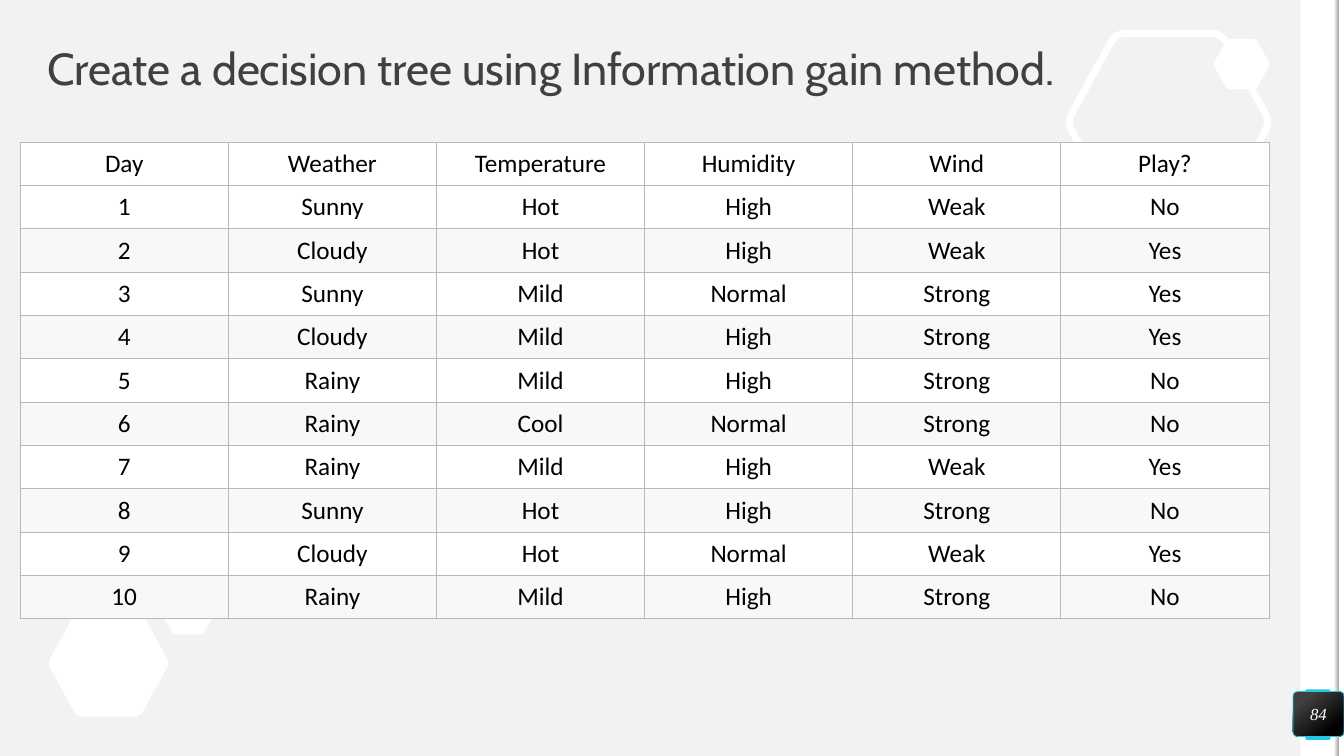
from lxml import etree
from pptx import Presentation
from pptx.dml.color import RGBColor
from pptx.enum.shapes import MSO_SHAPE
from pptx.enum.text import MSO_ANCHOR, PP_ALIGN
from pptx.oxml.ns import qn
from pptx.util import Pt

RECT, ROUND = MSO_SHAPE.RECTANGLE, MSO_SHAPE.ROUNDED_RECTANGLE
MIDDLE = MSO_ANCHOR.MIDDLE
LEFT, CENTER = PP_ALIGN.LEFT, PP_ALIGN.CENTER

WHITE = RGBColor(0xFF, 0xFF, 0xFF)
BLACK = RGBColor(0, 0, 0)
PAPER = RGBColor(0xF2, 0xF2, 0xF2)
BAND = RGBColor(0xF8, 0xF8, 0xF8)
RULE = RGBColor(0xB8, 0xB8, 0xB8)
SHADE = RGBColor(0xA6, 0xA6, 0xA6)
DARK = RGBColor(0x40, 0x40, 0x40)
CYAN = RGBColor(0x25, 0xC6, 0xE3)

WIDE, HIGH = 960, 540
ROWS = [
    ["Day", "Weather", "Temperature", "Humidity", "Wind", "Play?"],
    ["1", "Sunny", "Hot", "High", "Weak", "No"],
    ["2", "Cloudy", "Hot", "High", "Weak", "Yes"],
    ["3", "Sunny", "Mild", "Normal", "Strong", "Yes"],
    ["4", "Cloudy", "Mild", "High", "Strong", "Yes"],
    ["5", "Rainy", "Mild", "High", "Strong", "No"],
    ["6", "Rainy", "Cool", "Normal", "Strong", "No"],
    ["7", "Rainy", "Mild", "High", "Weak", "Yes"],
    ["8", "Sunny", "Hot", "High", "Strong", "No"],
    ["9", "Cloudy", "Hot", "Normal", "Weak", "Yes"],
    ["10", "Rainy", "Mild", "High", "Strong", "No"],
]
HEX = [(0.24, 0), (0, 0.5), (0.24, 1), (0.76, 1), (1, 0.5), (0.76, 0)]


def write(frame, text, font, size, color, align=CENTER, italic=False):
    para = frame.paragraphs[0]
    para.alignment = align
    run = para.add_run()
    run.text = text
    run.font.name = font
    run.font.size = Pt(size)
    run.font.color.rgb = color
    run.font.italic = italic
    return para


def bare(frame):
    frame.margin_left = frame.margin_right = 0
    frame.margin_top = frame.margin_bottom = 0
    frame.vertical_anchor = MIDDLE
    frame.word_wrap = True


def block(slide, kind, box, color, curve=0):
    shape = slide.shapes.add_shape(kind, *map(Pt, box))
    shape.shadow.inherit = False
    shape.line.fill.background()
    shape.fill.solid()
    shape.fill.fore_color.rgb = color
    if kind == ROUND:
        shape.adjustments[0] = curve
    return shape


def blend(shape, angle, *stops):
    shape.fill.gradient()
    shape.fill.gradient_angle = angle
    for stop, (place, color) in zip(shape.fill.gradient_stops, stops):
        stop.position = place
        stop.color.rgb = color


def hexagon(slide, box, line=0):
    left, top, width, height = box
    points = []
    for i, (x, y) in enumerate(HEX):
        px, py = HEX[i - 1]
        nx, ny = HEX[(i + 1) % len(HEX)]
        for t in (0, 0.25, 0.5, 0.75, 1):
            back, ahead = 0.1 * (1 - t) ** 2, 0.1 * t ** 2
            u = x + back * (px - x) + ahead * (nx - x)
            v = y + back * (py - y) + ahead * (ny - y)
            points.append((Pt(left + u * width), Pt(top + v * height)))
    path = slide.shapes.build_freeform(*points[0])
    path.add_line_segments(points[1:], close=True)
    shape = path.convert_to_shape()
    shape.shadow.inherit = False
    if line:
        shape.fill.background()
        shape.line.color.rgb = WHITE
        shape.line.width = Pt(line)
    else:
        shape.fill.solid()
        shape.fill.fore_color.rgb = WHITE
        shape.line.fill.background()


def side(slide, box):
    left, top, width, height = box
    block(slide, RECT, (left, top, width - 3, height), WHITE)
    block(slide, ROUND, (left + 3.6, top + 492.5, 18, 36), CYAN, 0.07)
    block(slide, RECT, (left + width - 3.6, top, 3.6, height), WHITE)
    edge = block(slide, RECT, (left + width - 7.2, top, 3.6, height), WHITE)
    blend(edge, 0, (0, WHITE), (1, SHADE))


def decor(slide):
    hexagon(slide, (34, 435.6, 87.1, 76.3))
    hexagon(slide, (762.2, 23.8, 145, 126.7), line=5)
    hexagon(slide, (114.2, 417.6, 40.3, 35.6))
    hexagon(slide, (866.6, 28, 40.6, 35.6))


def title(slide, box):
    frame = slide.shapes.add_textbox(*map(Pt, box)).text_frame
    bare(frame)
    text = "Create a decision tree using Information gain method."
    write(frame, text, "Cabin", 32, DARK, LEFT).line_spacing = 0.9


def border(cell):
    props = cell._tc.get_or_add_tcPr()
    for i, tag in enumerate(("a:lnL", "a:lnR", "a:lnT", "a:lnB")):
        line = etree.Element(qn(tag), w=str(Pt(0.75)))
        fill = etree.SubElement(line, qn("a:solidFill"))
        etree.SubElement(fill, qn("a:srgbClr"), val=str(RULE))
        props.insert(i, line)


def grid(slide, box):
    shape = slide.shapes.add_table(len(ROWS), len(ROWS[0]), *map(Pt, box))
    table = shape.table
    table.first_row = table.horz_banding = False
    for col in table.columns:
        col.width = Pt(box[2] / len(ROWS[0]))
    for r, texts in enumerate(ROWS):
        table.rows[r].height = Pt(box[3] / len(ROWS))
        for c, text in enumerate(texts):
            cell = table.cell(r, c)
            cell.margin_left = cell.margin_right = Pt(10)
            cell.margin_top = cell.margin_bottom = Pt(4.3)
            cell.vertical_anchor = MIDDLE
            cell.fill.solid()
            cell.fill.fore_color.rgb = BAND if r and r % 2 == 0 else WHITE
            border(cell)
            write(cell.text_frame, text, "Calibri", 18, BLACK)


def badge(slide, box):
    shape = block(slide, ROUND, box, BLACK, 0.1)
    blend(shape, 310, (0.2, DARK), (0.82, BLACK))
    shape.line.color.rgb = CYAN
    shape.line.width = Pt(0.5)
    bare(shape.text_frame)
    write(shape.text_frame, "84", "Times New Roman", 12, WHITE, italic=True)


def main():
    deck = Presentation()
    deck.slide_width, deck.slide_height = Pt(WIDE), Pt(HIGH)
    slide = deck.slides.add_slide(deck.slide_layouts[6])
    slide.background.fill.solid()
    slide.background.fill.fore_color.rgb = PAPER
    side(slide, (928.8, 0, WIDE - 928.8, HIGH))
    decor(slide)
    title(slide, (34, 34, 892, 34))
    grid(slide, (14.4, 101.5, 892.2, 340.7))
    badge(slide, (923.6, 494, 36.4, 32))
    deck.save("out.pptx")


if __name__ == "__main__":
    main()
